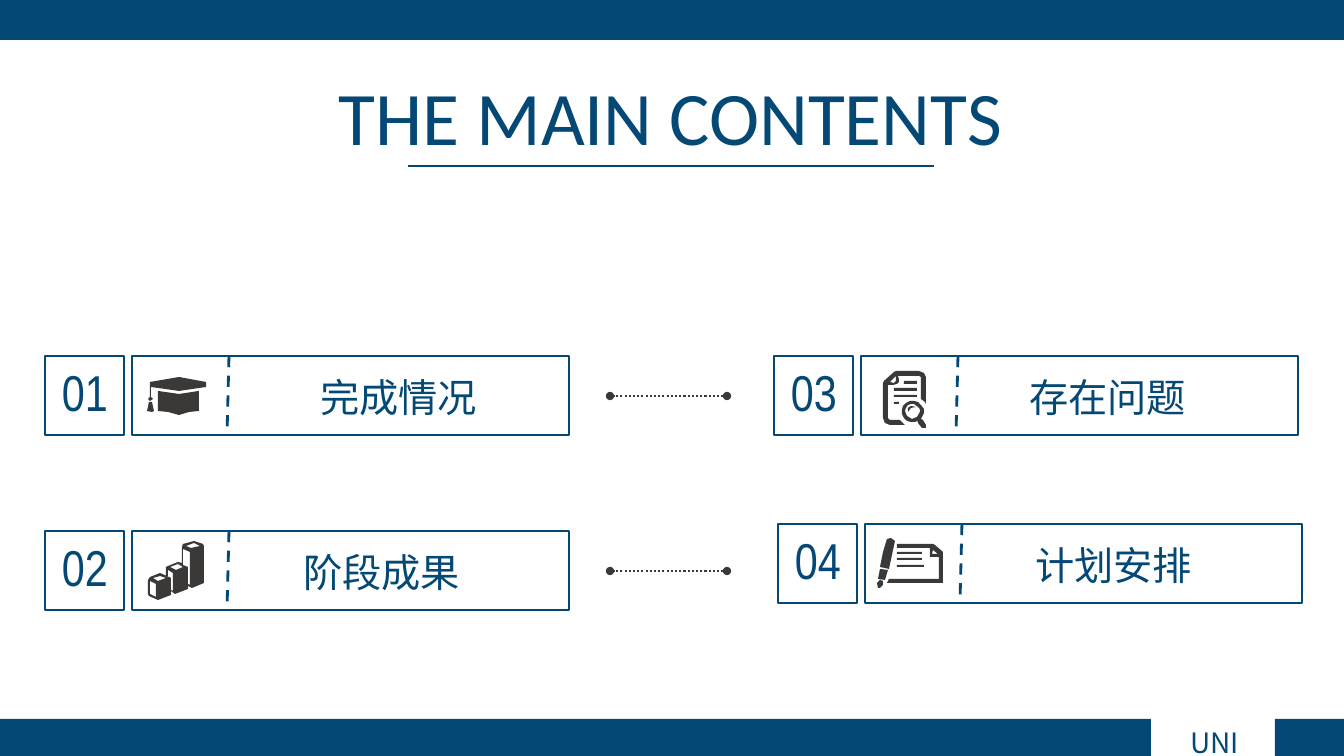
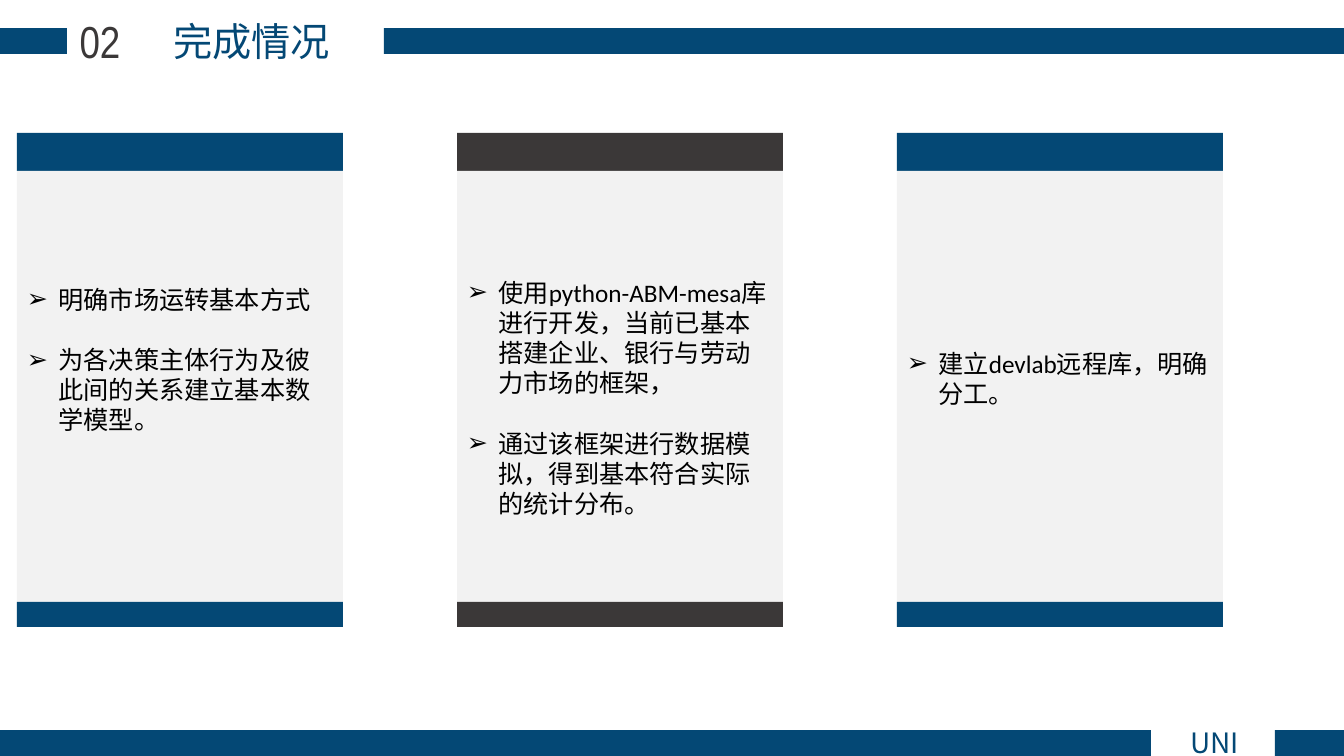
from lxml import etree
from pptx import Presentation
from pptx.dml.color import RGBColor
from pptx.enum.dml import MSO_LINE
from pptx.enum.shapes import MSO_CONNECTOR, MSO_SHAPE
from pptx.enum.text import PP_ALIGN
from pptx.oxml.ns import qn
from pptx.util import Pt

PX = 914400 / 100.8
WIDTH, HEIGHT = 1344, 756
BLUE = RGBColor(0x04, 0x48, 0x75)
DARK = RGBColor(0x3B, 0x38, 0x38)
PALE = RGBColor(0xF2, 0xF2, 0xF2)
BLACK = RGBColor(0, 0, 0)
SANS, NARROW, LATIN = "Noto Sans CJK SC", "Arial Narrow", "Calibri"
RECTANGLE, STRAIGHT = MSO_SHAPE.RECTANGLE, MSO_CONNECTOR.STRAIGHT
DASH, DOT = MSO_LINE.DASH, MSO_LINE.ROUND_DOT
LEFT, CENTER = PP_ALIGN.LEFT, PP_ALIGN.CENTER


def stroke(left, top, right, bottom):
    return [(left, top), (right, top), (right, bottom), (left, bottom)]


CAP = [
    [(11, 34), (21, 35), (32, 38), (42, 35), (52, 34), (52, 14), (32, 17), (11, 14)],
    [(59, 5), (59, 10), (32, 14), (4, 10), (4, 20), (6, 22), (3, 24), (1, 22),
     (3, 20), (3, 5), (32, 0)],
    [(5, 25), (2, 25), (0, 34), (5, 35), (7, 34)],
]
BARS = [
    [(18, 26), (20, 25), (30, 21), (34, 22), (34, 6), (35, 3), (46, 0), (55, 3),
     (56, 5), (56, 42), (44, 47), (40, 45), (40, 48), (27, 53), (23, 50), (23, 54),
     (10, 59), (1, 55), (0, 53), (0, 39), (2, 36), (12, 32), (21, 36), (23, 37),
     (23, 49), (25, 50), (25, 32), (20, 29), (20, 36), (18, 35)],
    [(38, 5), (43, 7), (52, 5), (46, 2)],
    [(8, 43), (2, 40), (2, 53), (8, 56)],
    [(22, 26), (28, 29), (35, 26), (30, 23)],
    [(35, 24), (40, 26), (40, 43), (42, 44), (42, 11), (35, 8)],
    [(5, 37), (10, 40), (18, 37), (12, 35)],
]
DOCUMENT = [
    [(13, 0), (36, 0), (41, 2), (43, 6), (43, 33), (42, 31), (38, 28), (38, 6),
     (36, 5), (15, 5), (16, 8), (16, 11), (14, 13), (10, 14), (5, 14), (5, 47),
     (7, 49), (17, 49), (22, 54), (7, 54), (2, 52), (0, 47), (0, 12), (1, 10), (11, 1)],
    stroke(11, 31, 16, 33),
    stroke(11, 24, 34, 26),
    stroke(11, 17, 34, 20),
    stroke(21, 10, 34, 13),
    [(23, 32), (20, 35), (19, 39), (19, 43), (21, 47), (24, 50), (28, 51), (32, 51),
     (35, 50), (35, 52), (39, 57), (43, 57), (43, 54), (40, 49), (38, 48), (41, 42),
     (41, 38), (38, 34), (35, 31), (31, 30), (27, 30)],
    [(31, 33), (28, 33), (25, 34), (23, 37), (22, 40), (24, 45), (29, 48), (34, 46),
     (37, 41), (37, 38), (35, 36)],
    [(25, 41), (28, 37), (33, 36), (28, 35), (25, 37)],
    [(13, 5), (7, 11), (11, 12), (13, 10)],
]
PEN_AND_PAPER = [
    [(10, 1), (14, 0), (18, 3), (15, 17), (12, 31), (3, 29), (6, 14)],
    [(12, 41), (10, 45), (66, 45), (66, 14), (58, 7), (56, 6), (20, 6), (20, 10),
     (53, 10), (53, 19), (62, 19), (62, 41)],
    [(61, 16), (55, 16), (56, 12)],
    stroke(20, 27, 47, 29),
    stroke(20, 20, 45, 22),
    stroke(20, 14, 45, 16),
    [(3, 42), (6, 43), (6, 47), (3, 50), (1, 50), (0, 45)],
    [(3, 31), (1, 41), (8, 42), (11, 32)],
]

ORGANISATION = "UNI"
CONTENTS_TITLE = "THE MAIN CONTENTS"
# number, label, corner, label offset, icon, icon offset
ENTRIES = [
    ("01", "完成情况", (45, 356), 197, CAP, (102, 21)),
    ("02", "阶段成果", (45, 531), 180, BARS, (103, 10)),
    ("03", "存在问题", (774, 356), 177, DOCUMENT, (109, 15)),
    ("04", "计划安排", (778, 524), 179, PEN_AND_PAPER, (99, 14)),
]
LINK_ROWS = [396, 571]
SECTION = ("02", "完成情况")
CARDS = [
    (BLUE, 279, 162, ["明确市场运转基本方式",
                      "为各决策主体行为及彼此间的关系建立基本数学模型。"]),
    (DARK, 272, 254, ["使用python-ABM-mesa库进行开发，当前已基本搭建企业、银行与劳动力市场的框架，",
                      "通过该框架进行数据模拟，得到基本符合实际的统计分布。"]),
    (BLUE, 343, 72, ["建立devlab远程库，明确分工。"]),
]


def px(*lengths):
    return [round(length * PX) for length in lengths]


def add_box(page, area, fill=None, outline=None):
    box = page.shapes.add_shape(RECTANGLE, *px(*area))
    box.shadow.inherit = False
    if fill is None:
        box.fill.background()
    else:
        box.fill.solid()
        box.fill.fore_color.rgb = fill
    if outline is None:
        box.line.fill.background()
    else:
        box.line.color.rgb = outline
        box.line.width = Pt(2)


def add_text(page, area, paragraphs, size, font, color=BLUE, align=CENTER):
    frame = page.shapes.add_textbox(*px(*area)).text_frame
    frame.word_wrap = True
    frame.text = "\n".join(paragraphs)
    for para in frame.paragraphs:
        para.alignment = align
        for span in para.runs:
            span.font.size = Pt(size)
            span.font.name = font
            span.font.color.rgb = color
            east_asian = etree.SubElement(span.font._element, qn("a:ea"))
            east_asian.set("typeface", SANS)
    return frame


def add_line(page, start, end, color=BLUE, width=2, dash=None, ends=None):
    line = page.shapes.add_connector(STRAIGHT, *px(*start, *end))
    line.line.color.rgb = color
    line.line.width = Pt(width)
    if dash is not None:
        line.line.dash_style = dash
    properties = line._element.spPr
    if ends is not None:
        for tag in ("a:headEnd", "a:tailEnd"):
            etree.SubElement(properties.find(qn("a:ln")), qn(tag)).set("type", ends)
    etree.SubElement(properties, qn("a:effectLst"))


def add_icon(page, corner, outlines):
    builder = page.shapes.build_freeform(*outlines[0][0], scale=PX)
    builder.add_line_segments(outlines[0][1:], close=True)
    for outline in outlines[1:]:
        builder.move_to(*outline[0])
        builder.add_line_segments(outline[1:], close=True)
    icon = builder.convert_to_shape(*px(*corner))
    icon.shadow.inherit = False
    icon.fill.solid()
    icon.fill.fore_color.rgb = DARK
    icon.line.fill.background()


def add_band(page, top, height, gap_left, gap_right):
    add_box(page, (0, top, gap_left, height), BLUE)
    add_box(page, (gap_right, top, WIDTH - gap_right, height), BLUE)


def add_footer(page, top):
    add_band(page, top, HEIGHT - top, 1151, 1275)
    add_text(page, (1132, 721, 165, 44), [ORGANISATION], 20, SANS)


def add_entry(page, number, label, corner, label_offset, icon, icon_offset):
    left, top = corner
    side = 79
    add_box(page, (left, top, side, side), outline=BLUE)
    add_text(page, (left - 11, top, 102, 72), [number], 36, NARROW)
    add_box(page, (left + 87, top, 437, side), outline=BLUE)
    add_line(page, (left + 184, top), (left + 182, top + side), dash=DASH)
    add_text(page, (left + label_offset, top + 12, 313, 57), [label], 28, SANS)
    add_icon(page, (left + icon_offset[0], top + icon_offset[1]), icon)


def add_card(page, left, color, text_top, text_height, points):
    width = 326
    add_box(page, (left, 133, width, 38), color)
    add_box(page, (left, 171, width, 456), PALE)
    add_box(page, (left, 602, width, 25), color)
    area = (left, text_top, width, text_height)
    frame = add_text(page, area, points, 18, LATIN, BLACK, LEFT)
    for index, para in enumerate(frame.paragraphs):
        if index:
            para.space_before = Pt(21.5)
        properties = para._p.get_or_add_pPr()
        properties.set("marL", "285750")
        properties.set("indent", "-285750")
        etree.SubElement(properties, qn("a:buFont")).set("typeface", "Arial")
        etree.SubElement(properties, qn("a:buChar")).set("char", "➢")


def build_contents(page):
    add_box(page, (0, 0, WIDTH, 40), BLUE)
    add_footer(page, 719)
    for entry in ENTRIES:
        add_entry(page, *entry)
    for row in LINK_ROWS:
        add_line(page, (727, row), (610, row), DARK, 1.5, DOT, "oval")
    add_text(page, (302, 65, 737, 102), [CONTENTS_TITLE], 54, LATIN)
    add_line(page, (408, 166), (934, 166))


def build_progress(page):
    number, title = SECTION
    add_band(page, 28, 26, 67, 384)
    add_text(page, (70, 12, 363, 57), [title], 28, SANS)
    add_text(page, (60, 9, 80, 65), [number], 32, NARROW, DARK)
    add_footer(page, 730)
    for column, card in enumerate(CARDS):
        add_card(page, 17 + 440 * column, *card)


def main():
    deck = Presentation()
    deck.slide_width, deck.slide_height = px(WIDTH, HEIGHT)
    for build in (build_contents, build_progress):
        build(deck.slides.add_slide(deck.slide_layouts[6]))
    deck.save("out.pptx")


if __name__ == "__main__":
    main()
